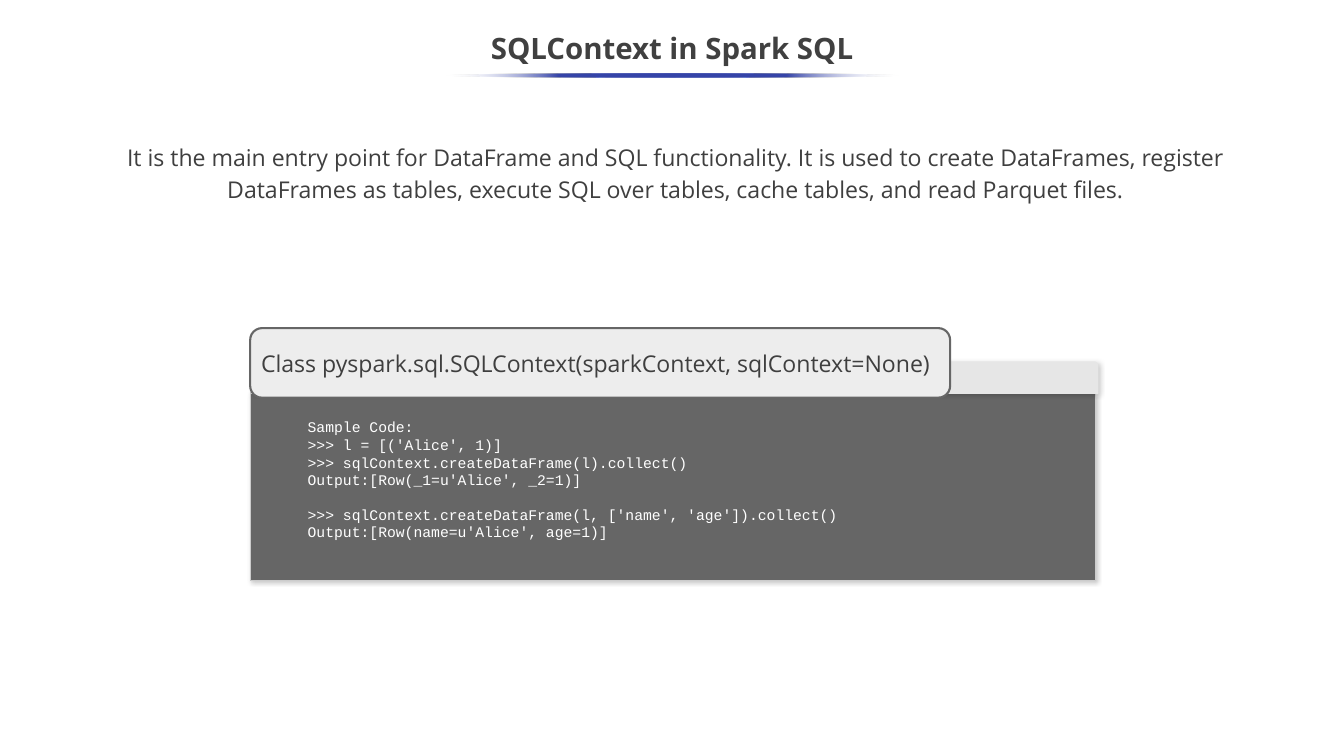
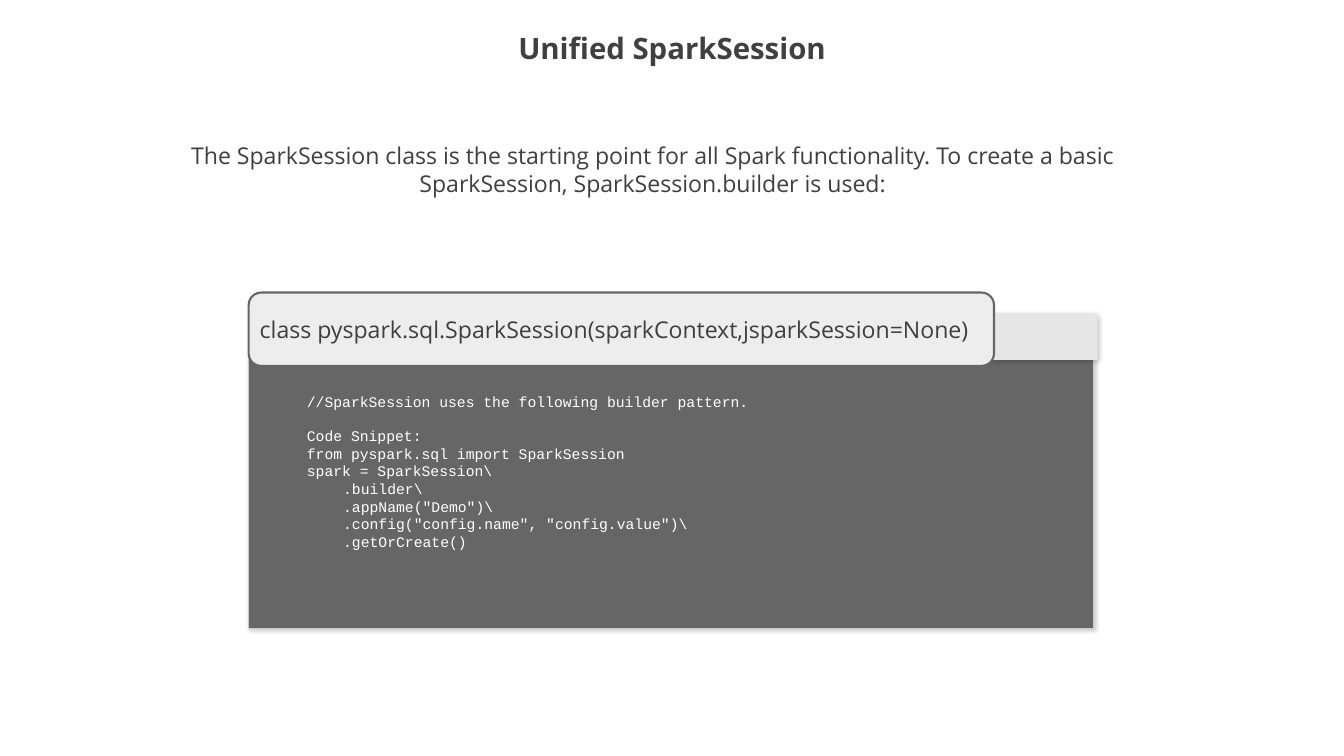
import pptx
import pptx.util
import pptx.dml.color
import pptx.enum.shapes
import pptx.enum.text
import pptx.oxml
import pptx.oxml.ns

Inches = pptx.util.Inches
Pt = pptx.util.Pt
KIND = pptx.enum.shapes.MSO_SHAPE
ALIGN = pptx.enum.text.PP_ALIGN
ANCHOR = pptx.enum.text.MSO_ANCHOR

HEX = {
    "white": "FFFFFF", "title": "404040", "text": "3F3F3F", "code": "666666",
    "edge": "CCCCCC", "strip": "E6E6E6", "tab": "EDEDED", "blue": "3645A9",
    "shade": "000000",
}
SANS, MONO = "Open Sans", "Courier New"
NS = 'xmlns:a="http://schemas.openxmlformats.org/drawingml/2006/main"'
STEP = 0.12  # width of one code character
LINE = 16    # height of one code line, in points


def rgb(name):
    return pptx.dml.color.RGBColor.from_string(HEX[name])


def add_xml(parent, text):
    parent.append(pptx.oxml.parse_xml(text))


def box(shapes, kind, at, fill, line=None, width=1, round=None):
    shape = shapes.add_shape(kind, *map(Inches, at))
    shape.shadow.inherit = False
    if round is not None:
        shape.adjustments[0] = round
    shape.fill.solid()
    shape.fill.fore_color.rgb = rgb(fill)
    if line:
        shape.line.color.rgb = rgb(line)
        shape.line.width = Pt(width)
    else:
        shape.line.fill.background()
    return shape


def shade(shape):
    effects = shape._element.spPr.find(pptx.oxml.ns.qn("a:effectLst"))
    add_xml(effects, f'<a:outerShdw {NS} blurRad="{Pt(4.5)}" dist="{Pt(1.5)}" '
            f'dir="{47 * 60000}" algn="ctr" rotWithShape="0">'
            f'<a:srgbClr val="{HEX["shade"]}"><a:alpha val="20000"/></a:srgbClr>'
            '</a:outerShdw>')


def frame(shape, anchor, inset=(0.1, 0.05)):
    body = shape.text_frame
    body.word_wrap = True
    body.vertical_anchor = anchor
    body.margin_left = body.margin_right = Inches(inset[0])
    body.margin_top = body.margin_bottom = Inches(inset[1])
    return body


def write(par, text, size, color, font=SANS, bold=False, align=ALIGN.LEFT, space=None):
    par.alignment = align
    if space:
        par.line_spacing = space
    run = par.add_run()
    run.text = text
    run.font.size = Pt(size)
    run.font.name = font
    run.font.bold = bold
    run.font.color.rgb = rgb(color)


def title(slide, text):
    area = slide.shapes.add_textbox(*map(Inches, (-0.01, 0.29, 17.8, 0.75)))
    write(frame(area, ANCHOR.MIDDLE).paragraphs[0], text, 28, "title",
          bold=True, align=ALIGN.CENTER, space=0.9)


def intro(slide, at, text, anchor, space=None):
    area = slide.shapes.add_textbox(*map(Inches, at))
    write(frame(area, anchor).paragraphs[0], text, 22, "text",
          align=ALIGN.CENTER, space=space)


def code(shapes, at, blocks):
    """Write blocks of code lines, one line of space between blocks."""
    area = shapes.add_textbox(*map(Inches, at))
    body = frame(area, ANCHOR.TOP, (0.13, 0.07))
    par = body.paragraphs[0]
    for num, block in enumerate(blocks):
        for row, (depth, text) in enumerate(block):
            if num or row:
                par = body.add_paragraph()
            if num and not row:
                par.space_before = Pt(LINE)
            par._p.get_or_add_pPr().set("marL", str(Inches(0.5 + depth * STEP)))
            write(par, text, 14, "white", MONO)


def panel(slide, back, strip, area, tab, head, blocks):
    """Dark code panel with a light strip and a heading tab on top."""
    shapes = slide.shapes.add_group_shape().shapes
    shade(box(shapes, KIND.RECTANGLE, back, "code", "edge", 0.75))
    shade(box(shapes, KIND.ROUND_2_SAME_RECTANGLE, strip, "strip", round=0.12))
    code(shapes, area, blocks)
    label = box(shapes, KIND.ROUNDED_RECTANGLE, tab, "tab", "code", 2, 0.17)
    write(frame(label, ANCHOR.MIDDLE).paragraphs[0], head, 22, "text")


def rule(slide):
    """Thin blue line that fades out at both ends."""
    line = box(slide.shapes, KIND.OVAL, (5.89, 0.98, 6.01, 0.04), "blue")
    line.fill.gradient()
    line.fill.gradient_angle = 180
    stops = line._element.spPr.find(".//" + pptx.oxml.ns.qn("a:gsLst"))
    for stop in list(stops):
        stops.remove(stop)
    for pos in range(0, 101, 25):
        end = pos in (0, 100)
        color = HEX["white" if end else "blue"]
        alpha = 0 if end else 100000
        add_xml(stops, f'<a:gs {NS} pos="{pos * 1000}"><a:srgbClr val="{color}">'
                f'<a:alpha val="{alpha}"/></a:srgbClr></a:gs>')


def main():
    deck = pptx.Presentation()
    deck.slide_width, deck.slide_height = Inches(17.78), Inches(10)
    blank = deck.slide_layouts[6]

    # SQLContext
    slide = deck.slides.add_slide(blank)
    intro(slide, (1.35, 1.54, 15.17, 1.45),
          "It is the main entry point for DataFrame and SQL functionality. "
          "It is used to create DataFrames, register DataFrames as tables, "
          "execute SQL over tables, cache tables, and read Parquet files.",
          ANCHOR.MIDDLE, 1.15)
    title(slide, "SQLContext in Spark SQL")
    panel(slide, (3.31, 5.19, 11.18, 2.49), (3.32, 4.78, 11.21, 0.43),
          (3.44, 5.46, 11.05, 1.78), (3.31, 4.34, 9.26, 0.92),
          "Class pyspark.sql.SQLContext(sparkContext, sqlContext=None)",
          [[(0, "Sample Code:"),
            (0, ">>> l = [('Alice', 1)]"),
            (0, ">>> sqlContext.createDataFrame(l).collect()"),
            (0, "Output:[Row(_1=u'Alice', _2=1)]")],
           [(0, ">>> sqlContext.createDataFrame(l, ['name', 'age']).collect()"),
            (0, "Output:[Row(name=u'Alice', age=1)]")]])
    rule(slide)

    # SparkSession
    slide = deck.slides.add_slide(blank)
    title(slide, "Unified SparkSession")
    panel(slide, (3.29, 4.72, 11.18, 3.59), (3.31, 4.14, 11.21, 0.62),
          (3.43, 5.12, 11.05, 3.26), (3.29, 3.87, 9.86, 0.97),
          "class pyspark.sql.SparkSession(sparkContext,jsparkSession=None)",
          [[(0, "//SparkSession uses the following builder pattern.")],
           [(0, "Code Snippet:"),
            (0, "from pyspark.sql import SparkSession"),
            (0, "spark = SparkSession\\"),
            (4, ".builder\\"),
            (4, '.appName("Demo")\\'),
            (4, '.config("config.name", "config.value")\\'),
            (4, ".getOrCreate()")]])
    intro(slide, (2.25, 1.82, 12.77, 0.84),
          "The SparkSession class is the starting point for all Spark "
          "functionality. To create a basic SparkSession, "
          "SparkSession.builder is used:", ANCHOR.TOP)

    deck.save("out.pptx")


if __name__ == "__main__":
    main()
